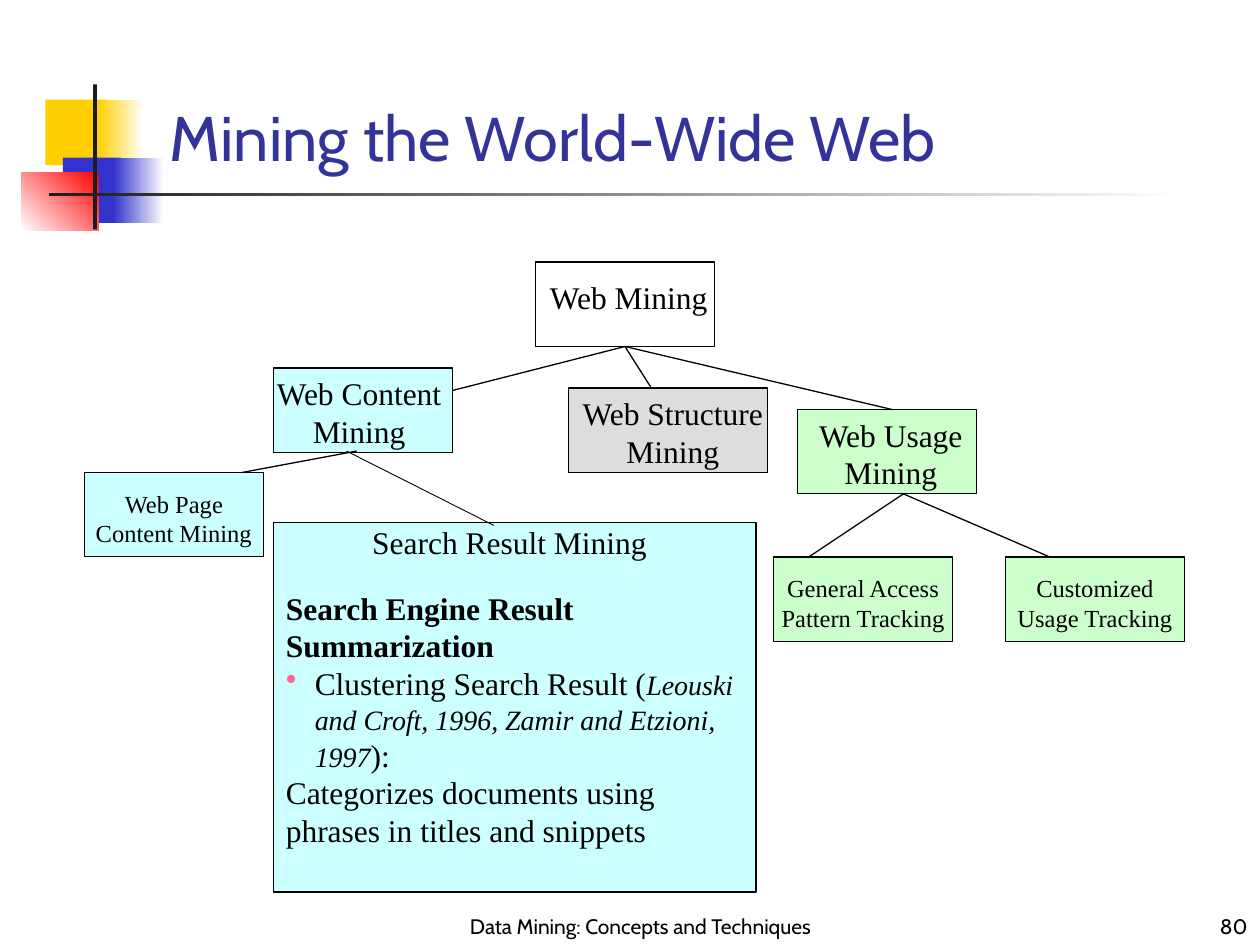
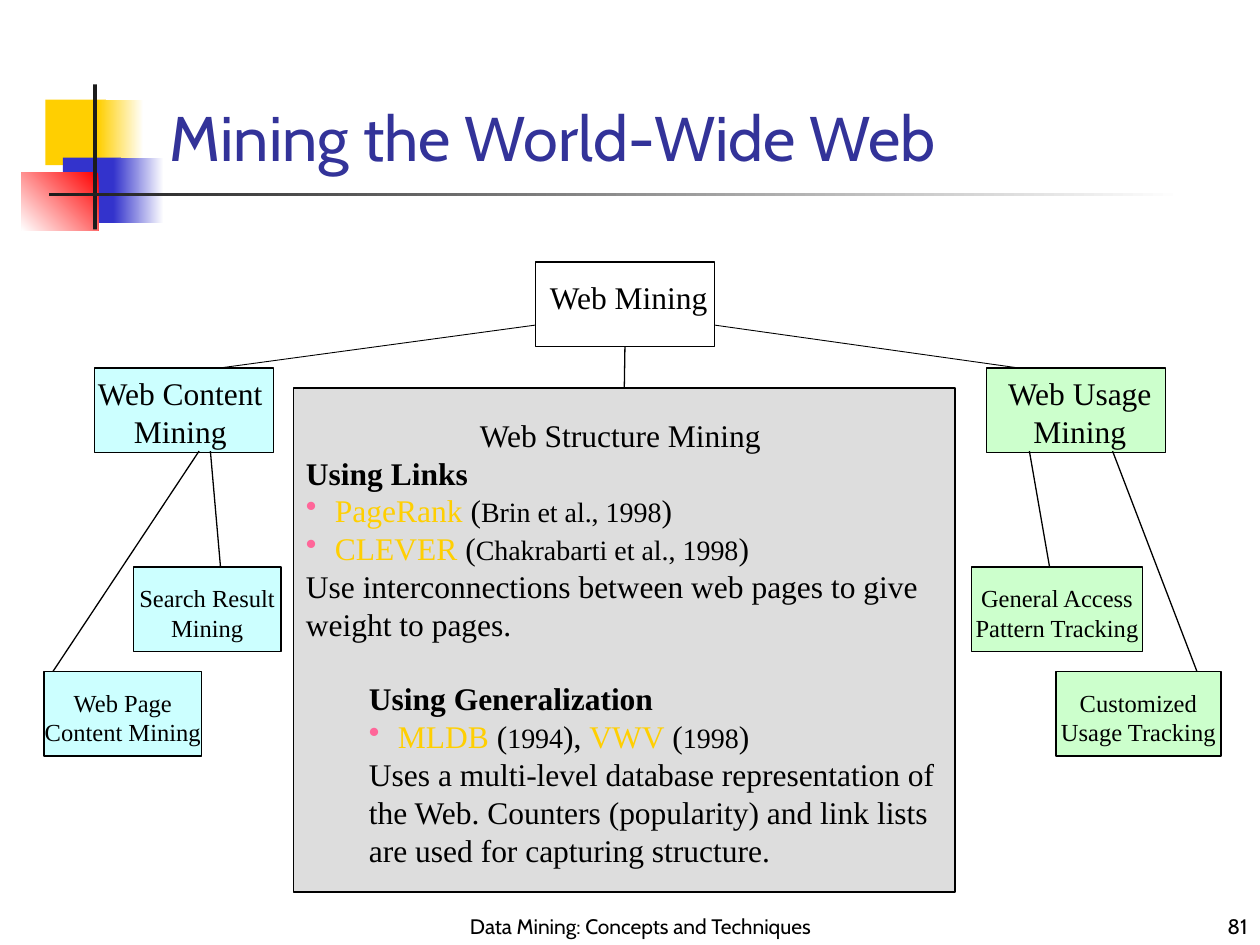
from lxml.etree import SubElement
from pptx import Presentation
from pptx.dml.color import RGBColor
from pptx.enum.shapes import MSO_CONNECTOR as Connector, MSO_SHAPE as Shape
from pptx.enum.text import MSO_ANCHOR as Anchor, PP_ALIGN as Align
from pptx.oxml.ns import qn
from pptx.util import Inches, Pt

BLACK = RGBColor(0x00, 0x00, 0x00)
WHITE = RGBColor(0xFF, 0xFF, 0xFF)
CHARCOAL = RGBColor(0x1C, 0x1C, 0x1C)
YELLOW = RGBColor(0xFF, 0xCF, 0x01)
BLUE = RGBColor(0x33, 0x33, 0xCC)
RED = RGBColor(0xFF, 0x00, 0x00)
TITLE_BLUE = RGBColor(0x33, 0x33, 0x99)
PINK = RGBColor(0xFF, 0x66, 0x99)
CONTENT_FILL = RGBColor(0xCC, 0xFF, 0xFF)
STRUCTURE_FILL = RGBColor(0xDD, 0xDD, 0xDD)
USAGE_FILL = RGBColor(0xCC, 0xFF, 0xCC)

SERIF, SANS = "Times New Roman", "Cabin"
BOX_WIDTH, BOX_HEIGHT = 1.42, 0.67
HANGING = 0.23
TOP, BOTTOM = 0, 2

YELLOW_TEXT = {"color": YELLOW}
CITATION = {"size": 16}
BOLD = {"bold": True}


def add_run(paragraph, text, size=18, color=BLACK, font=SERIF, bold=False, italic=False):
    run = paragraph.add_run()
    run.text = text
    run.font.name = font
    run.font.size = Pt(size)
    run.font.color.rgb = color
    run.font.bold = bold
    run.font.italic = italic


def set_bullet(paragraph, indent):
    properties = paragraph._p.get_or_add_pPr()
    properties.set("marL", str(Inches(indent + HANGING)))
    properties.set("indent", str(-Inches(HANGING)))
    color = SubElement(properties, qn("a:buClr"))
    SubElement(color, qn("a:srgbClr"), val=str(PINK))
    SubElement(properties, qn("a:buChar"), char="•")


class Deck:
    """Holds the shared style and the slide being built."""

    def __init__(self):
        self.presentation = Presentation()
        self.presentation.slide_width = Inches(10)
        self.presentation.slide_height = Inches(7.5)
        self.slide = None

    def new_slide(self, title, number):
        self.slide = self.presentation.slides.add_slide(self.presentation.slide_layouts[6])
        self.decoration()
        self.text(title, 1.25, 0.75, 8.52, 0.67, anchor=Anchor.MIDDLE,
                  size=36, color=TITLE_BLUE, font=SANS)
        footer = {"anchor": Anchor.BOTTOM, "size": 12, "font": SANS}
        self.text("Data Mining: Concepts and Techniques", 3.5, 6.92, 3.17, 0.58,
                  align=Align.CENTER, **footer)
        self.text(str(number), 7.92, 7, 2.08, 0.5, align=Align.RIGHT, **footer)

    def decoration(self):
        self.rectangle(0.36, 0.79, 0.48, 0.52, YELLOW)
        self.gradient(0.78, 0.79, 0.36, 0.52, WHITE, YELLOW)
        self.rectangle(0.5, 1.25, 0.46, 0.52, BLUE)
        self.gradient(0.9, 1.25, 0.4, 0.52, WHITE, BLUE)
        self.gradient(0.17, 1.37, 0.61, 0.46, RED, WHITE, angle=225)
        self.rectangle(0.74, 0.67, 0.03, 1.15, CHARCOAL)
        self.gradient(0.39, 1.53, 9, 0.03, WHITE, CHARCOAL)

    def rectangle(self, left, top, width, height, fill=None, outlined=False):
        shape = self.slide.shapes.add_shape(
            Shape.RECTANGLE, Inches(left), Inches(top), Inches(width), Inches(height))
        shape.shadow.inherit = False
        if fill is None:
            shape.fill.background()
        else:
            shape.fill.solid()
            shape.fill.fore_color.rgb = fill
        if outlined:
            shape.line.color.rgb = BLACK
            shape.line.width = Pt(0.75)
        else:
            shape.line.fill.background()
        return shape

    def gradient(self, left, top, width, height, first, last, angle=180):
        fill = self.rectangle(left, top, width, height).fill
        fill.gradient()
        fill.gradient_angle = angle
        for stop, color in zip(fill.gradient_stops, (first, last)):
            stop.color.rgb = color

    def text(self, text, left, top, width, height, anchor, align=Align.LEFT, **style):
        frame = self.slide.shapes.add_textbox(
            Inches(left), Inches(top), Inches(width), Inches(height)).text_frame
        frame.word_wrap = True
        frame.vertical_anchor = anchor
        paragraph = frame.paragraphs[0]
        paragraph.alignment = align
        add_run(paragraph, text, **style)

    def box(self, lines, left, top, fill=None, width=BOX_WIDTH, size=18, inset=0.05, shift=0):
        """Add a labelled tree node; shift moves the label right of centre."""
        shape = self.rectangle(left, top, width, BOX_HEIGHT, fill, outlined=True)
        frame = shape.text_frame
        frame.word_wrap = False
        frame.vertical_anchor = Anchor.TOP
        frame.margin_left = Inches(max(0, 2 * shift))
        frame.margin_right = Inches(max(0, -2 * shift))
        frame.margin_top, frame.margin_bottom = Inches(inset), 0
        for index, line in enumerate(lines):
            paragraph = frame.add_paragraph() if index else frame.paragraphs[0]
            paragraph.alignment = Align.CENTER
            add_run(paragraph, line, size=size)
        return shape

    def root(self):
        return self.box(["Web Mining"], 4.25, 2.08, inset=0.13, shift=0.03)

    def content(self, left):
        self.box(["Web Content", "Mining"], left, 2.92, CONTENT_FILL, shift=-0.03)

    def usage(self, left, top):
        self.box(["Web Usage", "Mining"], left, top, USAGE_FILL, shift=0.03)

    def leaf(self, lines, left, top, fill, width=BOX_WIDTH):
        self.box(lines, left, top, fill, width, size=14, inset=0.13)

    def page_content(self, left, top, width=BOX_WIDTH):
        self.leaf(["Web Page", "Content Mining"], left, top, CONTENT_FILL, width)

    def general_access(self, left, top, width=BOX_WIDTH):
        self.leaf(["General Access", "Pattern Tracking"], left, top, USAGE_FILL, width)

    def customized_usage(self, left, top, width=BOX_WIDTH):
        self.leaf(["Customized", "Usage Tracking"], left, top, USAGE_FILL, width)

    def panel(self, heading, left, top, width, height, fill, inset, right_margin=0.1):
        shape = self.rectangle(left, top, width, height, fill, outlined=True)
        frame = shape.text_frame
        frame.word_wrap = True
        frame.vertical_anchor = Anchor.TOP
        frame.margin_top = Inches(inset)
        frame.margin_right = Inches(right_margin)
        paragraph = frame.paragraphs[0]
        paragraph.alignment = Align.CENTER
        add_run(paragraph, heading)
        return shape

    def panel_line(self, panel, *runs, indent=0, bullet=False, before=0):
        """Add a paragraph of runs, each a plain string or a (text, style) pair."""
        paragraph = panel.text_frame.add_paragraph()
        paragraph.alignment = Align.LEFT
        paragraph.space_before = Pt(before)
        if bullet:
            set_bullet(paragraph, indent)
        else:
            paragraph._p.get_or_add_pPr().set("marL", str(Inches(indent)))
        for run in runs:
            text, style = (run, {}) if isinstance(run, str) else run
            add_run(paragraph, text, **style)

    def line(self, start, end, weight=0.75):
        connector = self.slide.shapes.add_connector(
            Connector.STRAIGHT, *(Inches(value) for value in (*start, *end)))
        connector.line.color.rgb = BLACK
        connector.line.width = Pt(weight)
        SubElement(connector._element.spPr, qn("a:effectLst"))
        return connector


def build_content_slide(deck):
    deck.new_slide("Mining the World-Wide Web", 80)
    root = deck.root()
    for end in ((3, 3.25), (5.17, 3.08), (7.08, 3.25)):
        deck.line((4.96, 2.75), end).begin_connect(root, BOTTOM)

    deck.content(2.17)
    deck.box(["Web Structure", "Mining"], 4.51, 3.08, STRUCTURE_FILL, width=1.58, shift=0.04)
    deck.usage(6.33, 3.25)
    deck.page_content(0.67, 3.75)
    deck.general_access(6.14, 4.42)
    deck.customized_usage(7.98, 4.42)

    results = deck.panel("Search Result Mining", 2.17, 4.15, 3.83, 2.93, CONTENT_FILL,
                         inset=0, right_margin=0.18)
    deck.panel_line(results, ("Search Engine Result Summarization", BOLD), before=16)
    deck.panel_line(results, "Clustering Search Result (",
                    ("Leouski and Croft, 1996, Zamir and Etzioni, 1997",
                     {"size": 16, "italic": True}), "):", bullet=True)
    deck.panel_line(results, "Categorizes documents using phrases in titles and snippets")

    deck.line((2.83, 3.58), (1.92, 3.75))
    deck.line((2.75, 3.58), (3.92, 4.17), weight=0.5)
    for end_x in (6.42, 8.33):
        deck.line((7.17, 3.92), (end_x, 4.42))


def build_structure_slide(deck):
    deck.new_slide("Mining the World-Wide Web", 81)
    root = deck.root()
    deck.content(0.75)
    deck.leaf(["Search Result", "Mining"], 1.06, 4.5, CONTENT_FILL, width=1.17)
    deck.page_content(0.35, 5.33, width=1.25)
    deck.usage(7.83, 2.92)
    deck.general_access(7.71, 4.5, width=1.36)
    deck.customized_usage(8.38, 5.33, width=1.31)

    structure = deck.panel("Web Structure Mining ", 2.33, 3.08, 5.25, 4, STRUCTURE_FILL,
                           inset=0.22)
    deck.panel_line(structure, ("Using Links", BOLD))
    for method, authors in (("PageRank", "Brin"), ("CLEVER", "Chakrabarti")):
        deck.panel_line(structure, (method, YELLOW_TEXT), " (",
                        (f"{authors} et al., 1998", CITATION), ")", bullet=True)
    deck.panel_line(structure, "Use interconnections between web pages to give weight to pages.")
    deck.panel_line(structure, ("Using Generalization", BOLD), indent=0.5, before=21)
    deck.panel_line(structure, ("MLDB", YELLOW_TEXT), " (", ("1994", CITATION), "), ",
                    ("VWV", YELLOW_TEXT), " (", ("1998", CITATION), ")",
                    indent=0.5, bullet=True)
    deck.panel_line(structure, "Uses a multi-level database representation of the Web. "
                    "Counters (popularity) and link lists are used for capturing structure.",
                    indent=0.5)

    trunk = deck.line((4.96, 2.75), (4.96, 3.08))
    trunk.begin_connect(root, BOTTOM)
    trunk.end_connect(structure, TOP)
    for start, end in (((4.25, 2.58), (1.75, 2.92)), ((5.67, 2.58), (8.08, 2.92))):
        deck.line(start, end, weight=0.5)
    for start_x, end in ((1.67, (1.75, 4.5)), (1.58, (0.42, 5.33)),
                         (8.17, (8.33, 4.5)), (8.83, (9.5, 5.33))):
        deck.line((start_x, 3.58), end)


def main():
    deck = Deck()
    build_content_slide(deck)
    build_structure_slide(deck)
    deck.presentation.save("out.pptx")


if __name__ == "__main__":
    main()
